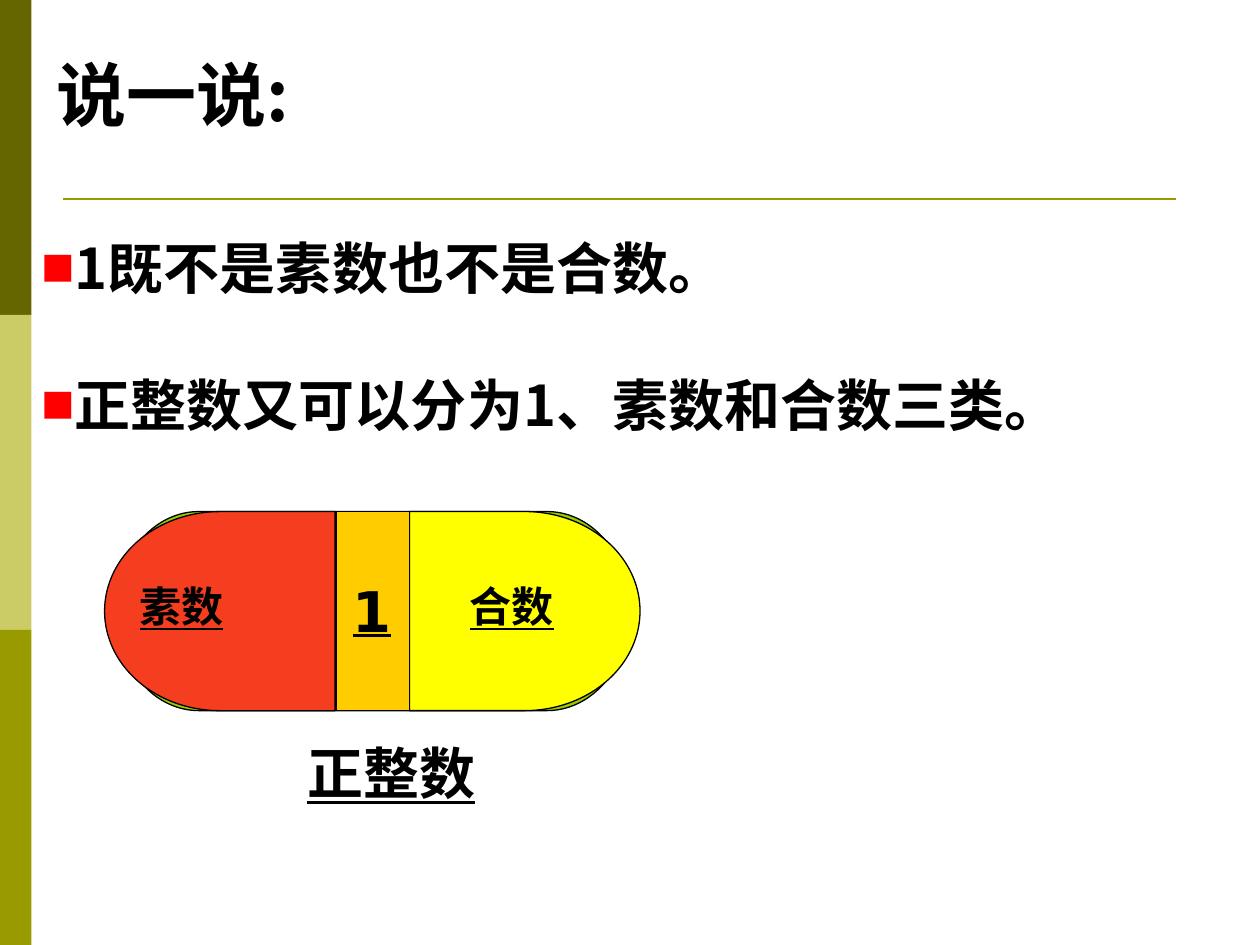
from pptx import Presentation
from pptx.dml.color import RGBColor
from pptx.enum.shapes import MSO_CONNECTOR, MSO_SHAPE
from pptx.enum.text import MSO_ANCHOR, MSO_AUTO_SIZE
from pptx.oxml.ns import qn
from pptx.util import Inches, Pt
from lxml.etree import SubElement

COLORS = {
    "black": "000000", "dark_olive": "666600", "light_olive": "CCCC66",
    "olive": "999900", "green": "99CC00", "yellow": "FFFF00",
    "red": "F53E1F", "orange": "FFCC00", "bullet": "FF0000",
}
LATIN, CJK = "DejaVu Sans", "Noto Sans CJK SC"

prs = Presentation()
prs.slide_width, prs.slide_height = Inches(10), Inches(7.5)
s = prs.slides.add_slide(prs.slide_layouts[6])


def add_text(text, x, y, w, h, size=32, font=LATIN, underline=None,
             bullet=False, wrap=True, anchor=MSO_ANCHOR.TOP):
    """Add a bold one-line text box and return its paragraph."""
    tf = s.shapes.add_textbox(Inches(x), Inches(y), Inches(w), Inches(h)).text_frame
    tf.word_wrap = wrap
    tf.auto_size = MSO_AUTO_SIZE.SHAPE_TO_FIT_TEXT
    tf.vertical_anchor = anchor
    p = tf.paragraphs[0]
    if bullet:
        pPr = p._p.get_or_add_pPr()
        clr = SubElement(pPr, qn("a:buClr"))
        SubElement(clr, qn("a:srgbClr"), val=COLORS["bullet"])
        SubElement(pPr, qn("a:buSzPct"), val="60000")
        SubElement(pPr, qn("a:buFont"), typeface=CJK)
        SubElement(pPr, qn("a:buChar"), char="■")
    r = p.add_run()
    r.text = text
    r.font.size, r.font.bold, r.font.underline = Pt(size), True, underline
    r.font.color.rgb = RGBColor.from_string(COLORS["black"])
    r.font.name = font
    SubElement(r.font._element, qn("a:ea"), typeface=CJK)
    return p


def add_block(kind, x, y, w, h, fill, outlined=True, rotation=0):
    sp = s.shapes.add_shape(kind, Inches(x), Inches(y), Inches(w), Inches(h))
    sp.shadow.inherit = False
    sp.rotation = rotation
    sp.fill.solid()
    sp.fill.fore_color.rgb = RGBColor.from_string(COLORS[fill])
    if outlined:
        sp.line.color.rgb = RGBColor.from_string(COLORS["black"])
        sp.line.width = Pt(0.75)
    else:
        sp.line.fill.background()


# Side bands and title rule
for i, fill in enumerate(("dark_olive", "light_olive", "olive")):
    add_block(MSO_SHAPE.RECTANGLE, 0, i * 2.5, 0.25, 2.5, fill, outlined=False)
rule = s.shapes.add_connector(MSO_CONNECTOR.STRAIGHT, Inches(0.5), Inches(1.58),
                              Inches(9.33), Inches(1.58))
rule.line.color.rgb = RGBColor.from_string(COLORS["olive"])
rule.line.width = Pt(1.5)
SubElement(rule._element.spPr, qn("a:effectLst"))

# Title and statements
title = add_text("说一说", 0.35, 0.36, 2.44, 0.77, size=40)
colon = title.add_run()
colon.text = ":"
colon.font.size, colon.font.bold, colon.font.name = Pt(40), True, CJK
colon.font.color.rgb = RGBColor.from_string(COLORS["black"])
add_text("1既不是素数也不是合数。", 0.23, 1.8, 9.77, 0.64, font=CJK, bullet=True,
         anchor=MSO_ANCHOR.MIDDLE)
add_text("正整数又可以分为1、素数和合数三类。", 0.23, 2.89, 9.77, 0.64, font=CJK,
         bullet=True)

# Capsule of the three classes of positive integers
top, height = 4.06, 1.58
for kind, x, w, fill, rotation in (
    (MSO_SHAPE.FLOWCHART_TERMINATOR, 0.92, 4.08, "green", 0),
    (MSO_SHAPE.FLOWCHART_DELAY, 3.25, 1.83, "yellow", 0),
    (MSO_SHAPE.FLOWCHART_DELAY, 0.83, 1.83, "red", 180),
    (MSO_SHAPE.RECTANGLE, 2.67, 0.58, "orange", 0),
):
    add_block(kind, x, top, w, height, fill, rotation=rotation)

for text, x, y, w, h, size in (
    ("正整数", 2.34, 5.81, 1.55, 0.64, 32),
    ("素数", 1.01, 4.56, 0.88, 0.5, 24),
    ("合数", 3.63, 4.56, 0.88, 0.5, 24),
    ("1", 2.7, 4.53, 0.45, 0.64, 32),
):
    add_text(text, x, y, w, h, size=size, underline=True, wrap=False)

prs.save("out.pptx")
